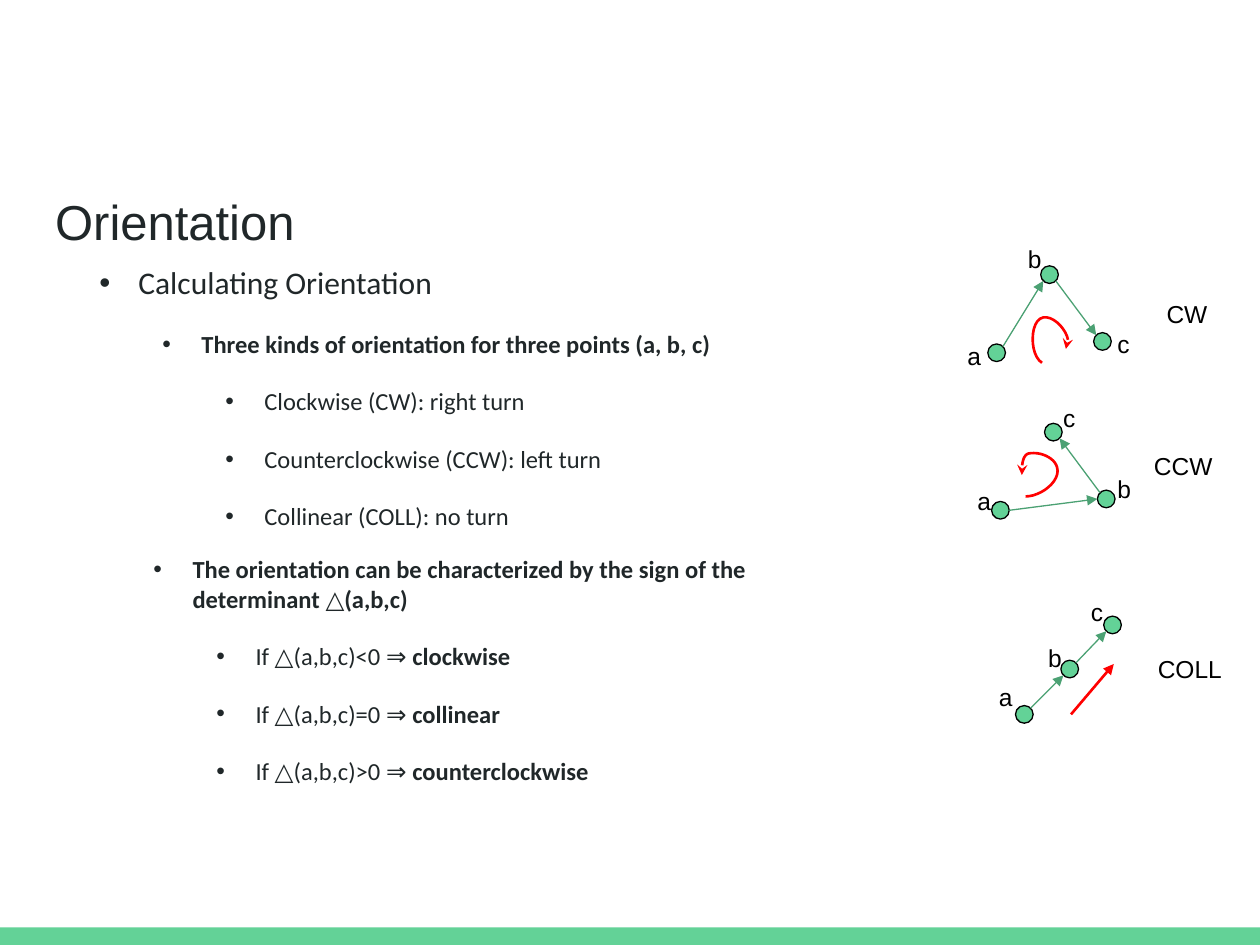
from dataclasses import dataclass
from itertools import pairwise
from math import atan2, cos, pi, sin

from lxml.etree import SubElement
from pptx import Presentation
from pptx.dml.color import RGBColor
from pptx.enum.shapes import MSO_CONNECTOR, MSO_SHAPE
from pptx.enum.text import MSO_ANCHOR
from pptx.oxml.ns import qn
from pptx.util import Inches, Pt


@dataclass(frozen=True)
class Theme:
    accent: str = "63D297"
    edge: str = "4BA173"
    turn: str = "FF0000"
    ink: str = "202729"
    black: str = "000000"
    heading_font: str = "Arial"
    body_font: str = "Calibri"
    title_size: int = 28
    topic_size: int = 18
    text_size: int = 14
    paragraph_gap: int = 16
    thin: float = 0.75
    thick: float = 1.5


@dataclass(frozen=True)
class Box:
    left: float
    top: float
    width: float
    height: float

    def inside(self, left, top, width, height):
        return Box(self.left + left, self.top + top, width, height)

    def point(self, spot):
        return self.left + spot[0], self.top + spot[1]


THEME = Theme()
COLUMNS, ROWS = 100, 75
CELL = Inches(10) / COLUMNS
INSET = 1
RADIUS = 0.7
LETTER_SIZE = (3.4, 3.6)
CURVE_STEPS = 12

ORIENTATION_KINDS = [
    (0, [("Calculating Orientation", False)]),
    (1, [("Three kinds of orientation for three points (a, b, c)", True)]),
    (2, [("Clockwise (CW): right turn", False)]),
    (2, [("Counterclockwise (CCW): left turn", False)]),
    (2, [("Collinear (COLL): no turn", False)]),
]
DETERMINANT_SIGNS = [
    (1, [("The orientation can be characterized by the sign of the determinant △(a,b,c)", True)]),
] + [
    (2, [(f"If △(a,b,c){sign}0 ⇒ ", False), (meaning, True)])
    for sign, meaning in [("<", "clockwise"), ("=", "collinear"), (">", "counterclockwise")]
]

FIGURES = [
    {
        "box": Box(75.8, 18.4, 21.6, 10.5),
        "name": ("CW", 15.8, 4.3, 5.8),
        "nodes": [(3.3, 9.6), (7.5, 3.4), (11.7, 8.7)],
        "letters": [(0, 7.7), (4.8, 0), (11.9, 6.7)],
        "turn": [(6.9, 10.4), (5.9, 9.8), (5.9, 7), (7, 6.8), (8.1, 6.6), (9.5, 8.6), (8.8, 9.3)],
        "head": "stealth",
    },
    {
        "box": Box(76.6, 31, 21.8, 10.2),
        "name": ("CCW", 14, 3.8, 7.8),
        "nodes": [(2.8, 9.5), (11.2, 8.6), (7, 3.3)],
        "letters": [(0, 6.6), (11.1, 5.6), (6.8, 0)],
        "turn": [(4.8, 8.4), (6, 8.4), (7.6, 7.2), (7.3, 6.1), (7.1, 5.3),
                 (5.9, 4.8), (5, 5), (4.5, 5.2), (4.5, 6.1), (4.5, 6.7)],
        "head": "stealth",
    },
    {
        "box": Box(78.3, 46.4, 20.4, 10.3),
        "name": ("COLL", 12.6, 4.5, 7.8),
        "nodes": [(3, 10.3), (6.6, 6.7), (10, 3.2)],
        "letters": [(0, 6.7), (3.9, 3.6), (7.3, 0)],
        "turn": [(6.7, 10.3), (10.1, 6.3)],
        "head": "triangle",
    },
]


def grid(*cells):
    return [round(cell * CELL) for cell in cells]


def frame_of(box):
    return grid(box.left, box.top, box.width, box.height)


def text_box(shapes, box):
    frame = shapes.add_textbox(*frame_of(box)).text_frame
    frame.word_wrap = True
    frame.vertical_anchor = MSO_ANCHOR.TOP
    inset = grid(INSET)[0]
    frame.margin_left = frame.margin_top = frame.margin_right = frame.margin_bottom = inset
    return frame


def style(span, size, font, color, bold=False):
    span.font.size = Pt(size)
    span.font.name = font
    span.font.bold = bold
    span.font.color.rgb = RGBColor.from_string(color)


def add_label(shapes, box, text, size, color):
    frame = text_box(shapes, box)
    frame.text = text
    style(frame.paragraphs[0].runs[0], size, THEME.heading_font, color)


def add_bullet(para, level):
    properties = para._p.get_or_add_pPr()
    properties.set("marL", str(Inches(0.56 + 0.5 * level)))
    properties.set("indent", str(Inches(-0.31)))
    color = SubElement(properties, qn("a:buClr"))
    SubElement(color, qn("a:srgbClr"), val=THEME.ink)
    SubElement(properties, qn("a:buFont"), typeface=THEME.heading_font)
    SubElement(properties, qn("a:buChar"), char="•")


def add_outline(shapes, box, items):
    frame = text_box(shapes, box)
    for index, (level, spans) in enumerate(items):
        para = frame.add_paragraph() if index else frame.paragraphs[0]
        add_bullet(para, level)
        para.level = level
        para.space_after = Pt(THEME.paragraph_gap)
        size = THEME.text_size if level else THEME.topic_size
        for text, bold in spans:
            span = para.add_run()
            span.text = text
            style(span, size, THEME.body_font, THEME.ink, bold)


def add_stroke(shape, color, width, head):
    shape.line.color.rgb = RGBColor.from_string(color)
    shape.line.width = Pt(width)
    properties = shape._element.spPr
    SubElement(properties.find(qn("a:ln")), qn("a:tailEnd"), type=head)
    SubElement(properties, qn("a:effectLst"))


def add_arrow(shapes, start, end, color, width):
    arrow = shapes.add_connector(MSO_CONNECTOR.STRAIGHT, *grid(*start, *end))
    add_stroke(arrow, color, width, "triangle")


def add_solid(shapes, kind, box):
    shape = shapes.add_shape(kind, *frame_of(box))
    shape.shadow.inherit = False
    shape.fill.solid()
    shape.fill.fore_color.rgb = RGBColor.from_string(THEME.accent)
    shape.line.fill.background()
    return shape


def add_node(shapes, center):
    x, y = center
    node = add_solid(shapes, MSO_SHAPE.OVAL, Box(x - RADIUS, y - RADIUS, 2 * RADIUS, 2 * RADIUS))
    node.line.color.rgb = RGBColor.from_string(THEME.black)
    node.line.width = Pt(THEME.thin)


def add_edge(shapes, start, end):
    angle = round(atan2(end[1] - start[1], end[0] - start[0]) / (pi / 4)) * pi / 4
    dx, dy = RADIUS * cos(angle), RADIUS * sin(angle)
    add_arrow(shapes, (start[0] + dx, start[1] + dy), (end[0] - dx, end[1] - dy),
              THEME.edge, THEME.thin)


def curve_point(controls, t):
    weights = ((1 - t) ** 3, 3 * t * (1 - t) ** 2, 3 * t * t * (1 - t), t ** 3)
    return tuple(sum(w * p[axis] for w, p in zip(weights, controls)) for axis in (0, 1))


def add_curve(shapes, controls, head):
    trace = [
        grid(*curve_point(controls[first:first + 4], step / CURVE_STEPS))
        for first in range(0, len(controls) - 1, 3)
        for step in range(1, CURVE_STEPS + 1)
    ]
    builder = shapes.build_freeform(*grid(*controls[0]))
    builder.add_line_segments(trace, close=False)
    curve = builder.convert_to_shape()
    curve.fill.background()
    add_stroke(curve, THEME.turn, THEME.thick, head)


def add_figure(page, box, name, nodes, letters, turn, head):
    shapes = page.shapes.add_group_shape().shapes
    centers = [box.point(node) for node in nodes]
    for center in centers:
        add_node(shapes, center)
    for start, end in pairwise(centers):
        add_edge(shapes, start, end)
    text, left, top, width = name
    add_label(shapes, box.inside(left, top, width, 4.3), text, THEME.text_size, THEME.black)
    for letter, spot in zip("abc", letters):
        add_label(shapes, box.inside(*spot, *LETTER_SIZE), letter, THEME.text_size, THEME.black)
    route = [box.point(spot) for spot in turn]
    if len(route) == 2:
        add_arrow(shapes, *route, THEME.turn, THEME.thick)
    else:
        add_curve(shapes, route, head)


def main():
    deck = Presentation()
    deck.slide_width, deck.slide_height = grid(COLUMNS, ROWS)
    page = deck.slides.add_slide(deck.slide_layouts[6])
    add_solid(page.shapes, MSO_SHAPE.RECTANGLE, Box(0, ROWS - 1.4, COLUMNS, 1.4))
    add_label(page.shapes, Box(3.4, 14.2, 24.6, 6.3), "Orientation", THEME.title_size, THEME.ink)
    add_outline(page.shapes, Box(4.4, 19.9, 54.9, 23.7), ORIENTATION_KINDS)
    add_outline(page.shapes, Box(3.7, 43, 59.4, 19.7), DETERMINANT_SIGNS)
    for figure in FIGURES:
        add_figure(page, **figure)
    deck.save("out.pptx")


if __name__ == "__main__":
    main()
